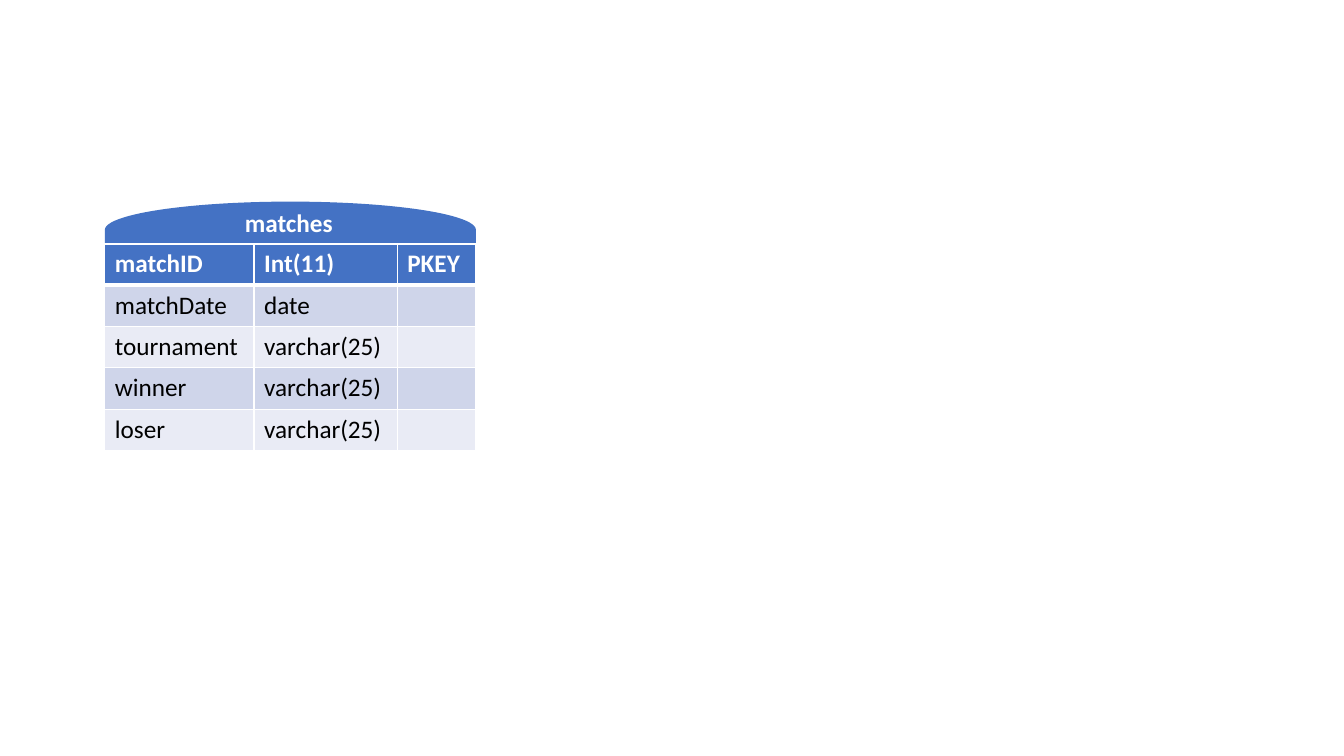
"""Build a slide showing the schema of the matches table."""
from lxml import etree
from pptx import Presentation
from pptx.dml.color import RGBColor
from pptx.enum import shapes, text
from pptx.oxml import ns
from pptx.util import Inches, Pt

COLORS = {
    "header": "4472C4",
    "odd_row": "CFD5EA",
    "even_row": "E9EBF5",
    "light": "FFFFFF",
    "dark": "000000",
}
COLUMN_WIDTHS = [1.48, 1.42, 0.78]
ROW_HEIGHT = 0.41
FIELDS = [
    ("matchID", "Int(11)", "PKEY"),
    ("matchDate", "date", ""),
    ("tournament", "varchar(25)", ""),
    ("winner", "varchar(25)", ""),
    ("loser", "varchar(25)", ""),
]


def set_fill(target, color):
    """Give a shape or cell a solid fill."""
    target.fill.solid()
    target.fill.fore_color.rgb = RGBColor.from_string(COLORS[color])


def write_text(frame, content, color, bold):
    """Write one formatted paragraph into a text frame."""
    paragraph = frame.paragraphs[0]
    paragraph.text = content
    paragraph.font.color.rgb = RGBColor.from_string(COLORS[color])
    for name, value in {"name": "Calibri", "size": Pt(18), "bold": bold}.items():
        setattr(paragraph.font, name, value)


def set_borders(cell, widths):
    """Draw white cell borders from a dict of side to width in points."""
    properties = cell._tc.get_or_add_tcPr()
    for side, width in widths.items():
        line = etree.SubElement(properties, ns.qn(f"a:ln{side}"), w=str(Pt(width)))
        fill = etree.SubElement(line, ns.qn("a:solidFill"))
        etree.SubElement(fill, ns.qn("a:srgbClr"), val=COLORS["light"])


def add_cap(slide, left, top, width, height):
    """Add the rounded cap, a delay shape turned to point upwards."""
    shape = slide.shapes.add_shape(
        shapes.MSO_SHAPE.FLOWCHART_DELAY,
        Inches(left + (width - height) / 2), Inches(top - (width - height) / 2),
        Inches(height), Inches(width))
    shape.rotation = 270
    shape.shadow.inherit = False
    set_fill(shape, "header")
    shape.line.fill.background()


def add_field_table(slide, left, top):
    """Add the table of field names, types and keys."""
    table = slide.shapes.add_table(
        len(FIELDS), len(COLUMN_WIDTHS), Inches(left), Inches(top),
        Inches(sum(COLUMN_WIDTHS)), Inches(ROW_HEIGHT * len(FIELDS))).table
    for column, width in zip(table.columns, COLUMN_WIDTHS):
        column.width = Inches(width)
    for row_index, field in enumerate(FIELDS):
        table.rows[row_index].height = Inches(ROW_HEIGHT)
        header = row_index == 0
        band = "header" if header else ("even_row", "odd_row")[row_index % 2]
        borders = {"L": 1, "R": 1, "T": 3 if row_index == 1 else 1, "B": 3 if header else 1}
        for column_index, content in enumerate(field):
            cell = table.cell(row_index, column_index)
            write_text(cell.text_frame, content, "light" if header else "dark", header)
            set_borders(cell, borders)
            set_fill(cell, band)


def add_title(slide, content, left, top, width, height):
    """Add the table name as a text box."""
    box = slide.shapes.add_textbox(Inches(left), Inches(top), Inches(width), Inches(height))
    settings = {"word_wrap": True, "auto_size": text.MSO_AUTO_SIZE.SHAPE_TO_FIT_TEXT}
    for name, value in settings.items():
        setattr(box.text_frame, name, value)
    write_text(box.text_frame, content, "light", True)


def main():
    """Assemble and save the presentation."""
    presentation = Presentation()
    presentation.slide_width = Inches(13.33)
    presentation.slide_height = Inches(7.5)
    slide = presentation.slides.add_slide(presentation.slide_layouts[6])
    add_cap(slide, 1.04, 2, sum(COLUMN_WIDTHS), 0.56)
    add_field_table(slide, 1.04, 2.42)
    add_title(slide, "matches", 2.33, 2.01, 1.38, 0.4)
    presentation.save("out.pptx")


main()
